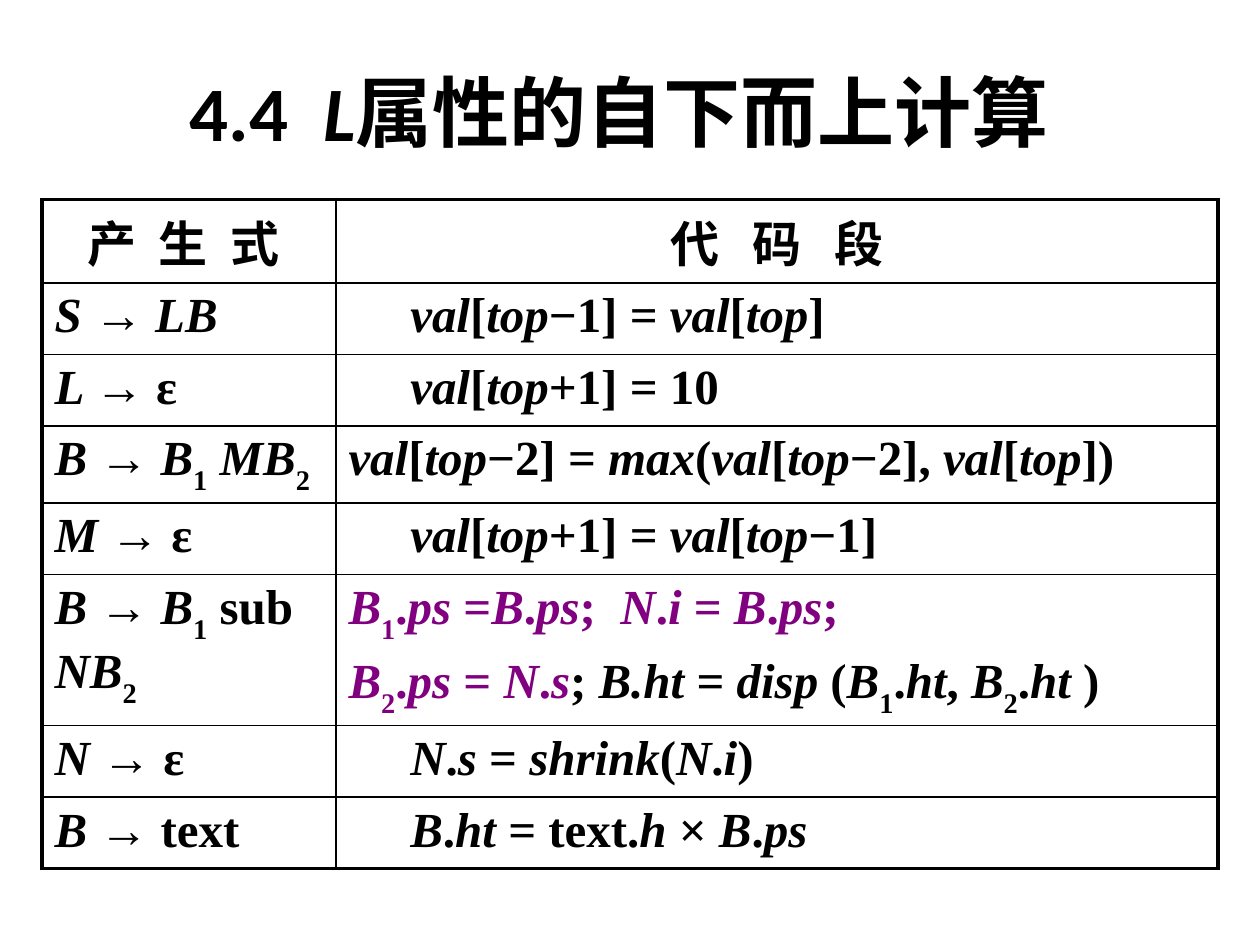
from dataclasses import dataclass
from typing import Any

from lxml import etree
from pptx import Presentation
from pptx.dml.color import RGBColor
from pptx.enum.text import MSO_ANCHOR, PP_ALIGN
from pptx.oxml.ns import qn
from pptx.util import Inches, Pt

BLACK = RGBColor(0x00, 0x00, 0x00)
PURPLE = RGBColor(0x80, 0x00, 0x80)
WHITE = RGBColor(0xFF, 0xFF, 0xFF)
CENTER, JUSTIFY, LEFT = PP_ALIGN.CENTER, PP_ALIGN.JUSTIFY, PP_ALIGN.LEFT
MIDDLE = MSO_ANCHOR.MIDDLE

TITLE_FONT, CJK_FONT, CODE_FONT = "Calibri", "Noto Sans CJK SC", "Times New Roman"
TITLE_SIZE, CELL_SIZE = 44, 28
THIN, THICK = 1, 2.25
CODE_INDENT = Inches(0.49)
TITLE_ONLY = 5
GRID = 30  # columns and rows on the slide

# Markup: *italic*, ~accent colour~, _x subscript, ^ widened space
TITLE = "4.4^*L*属性的自下而上计算"
HEADERS = [("产^生^式 ", 6.3), ("代^码^段", 12.6)]  # text, extra gap in points
# production, code, code is indented, height in grid rows
RULES = [
    ("*S *→* LB*", "*val*[*top*−1] = *val*[*top*]", True, 2.27),
    ("*L *→ ε", "*val*[*top*+1] = 10", True, 2.27),
    ("*B *→* B*_1* MB*_2",
     "*val*[*top*−2] =* max*(*val*[*top*−2], *val*[*top*]) ", False, 2.27),
    ("*M *→ ε", "*val*[*top*+1] = *val*[*top*−1]", True, 2.27),
    ("*B *→* B*_1 sub* NB*_2",
     "~*B*_1.*ps* =*B*.*ps*;^*N*.*i* = *B*.*ps*;~\n"
     "~*B*_2.*ps* = *N*.*s*~; *B.ht* = *disp* (*B*_1.*ht*, *B*_2.*ht *) ",
     False, 4.53),
    ("*N *→ ε", "*N*.*s *= *shrink*(*N*.*i*)", True, 2.27),
    ("*B *→ text", "*B*.*ht* = text.*h *×* B*.*ps*", True, 2.27),
]
HEADER_ROWS = 2.27
COLUMN_SPANS = (7, 21)


def split_markup(text):
    """Yield (piece, italic, accent, kind) for each run of marked-up text."""
    italic = accent = False
    piece, subscript = "", False
    for char in text:
        if subscript:
            yield char, False, accent, "sub"
            subscript = False
        elif char in "*~_^":
            if piece:
                yield piece, italic, accent, "plain"
                piece = ""
            if char == "*":
                italic = not italic
            elif char == "~":
                accent = not accent
            elif char == "_":
                subscript = True
            else:
                yield " ", italic, accent, "gap"
        else:
            piece += char
    if piece:
        yield piece, italic, accent, "plain"


@dataclass
class SlideBuilder:
    deck: Any
    slide: Any
    ink: RGBColor = BLACK
    accent: RGBColor = PURPLE

    def across(self, columns):
        return int(self.deck.slide_width * columns / GRID)

    def down(self, rows):
        return int(self.deck.slide_height * rows / GRID)

    def add_text(self, frame, text, font, size, align, gap=7.0, indent=0, cjk=None):
        for index, line in enumerate(text.split("\n")):
            paragraph = frame.add_paragraph() if index else frame.paragraphs[0]
            paragraph.alignment = align
            paragraph.space_before = Pt(0.2 * size if index else 0)
            paragraph.font.name = font
            paragraph.font.size = Pt(size)
            paragraph.font.bold = True
            paragraph.font.color.rgb = self.ink
            properties = paragraph._p.get_or_add_pPr()
            properties.set("marL", str(indent))
            properties.set("indent", "0")
            defaults = properties.get_or_add_defRPr()
            etree.SubElement(defaults, qn("a:ea")).set("typeface", cjk or font)
            for piece, italic, accent, kind in split_markup(line):
                run = paragraph.add_run()
                run.text = piece
                run.font.italic = italic
                if accent:
                    run.font.color.rgb = self.accent
                if kind == "sub":
                    run._r.get_or_add_rPr().set("baseline", "-30000")
                elif kind == "gap":
                    run._r.get_or_add_rPr().set("spc", str(round(gap * 100)))

    def title(self, text, left, top, width, height):
        heading = self.slide.shapes.title
        heading.left, heading.top = self.across(left), self.down(top)
        heading.width, heading.height = self.across(width), self.down(height)
        heading.text_frame.vertical_anchor = MIDDLE
        self.add_text(heading.text_frame, text, TITLE_FONT, TITLE_SIZE, CENTER,
                      gap=10, cjk=CJK_FONT)

    def table(self, left, top, column_spans, row_spans):
        grid = self.slide.shapes.add_table(
            len(row_spans), len(column_spans), self.across(left), self.down(top),
            self.across(sum(column_spans)), self.down(sum(row_spans))).table
        grid.first_row = grid.horz_banding = False
        for column, span in zip(grid.columns, column_spans):
            column.width = self.across(span)
        for row, span in zip(grid.rows, row_spans):
            row.height = self.down(span)
        last_row, last_column = len(row_spans) - 1, len(column_spans) - 1
        for r in range(last_row + 1):
            for c in range(last_column + 1):
                outer = {"L": c == 0, "R": c == last_column,
                         "T": r == 0, "B": r == last_row}
                self.borders(grid.cell(r, c), outer)
        return grid

    def borders(self, cell, outer):
        cell.fill.background()
        properties = cell._tc.get_or_add_tcPr()
        for position, (side, is_outer) in enumerate(outer.items()):
            line = etree.Element(qn(f"a:ln{side}"))
            line.set("w", str(Pt(THICK if is_outer else THIN)))
            fill = etree.SubElement(line, qn("a:solidFill"))
            etree.SubElement(fill, qn("a:srgbClr")).set("val", str(self.ink))
            properties.insert(position, line)


def main():
    deck = Presentation()
    deck.slide_width, deck.slide_height = Inches(10), Inches(7.5)
    slide = deck.slides.add_slide(deck.slide_layouts[TITLE_ONLY])
    slide.background.fill.solid()
    slide.background.fill.fore_color.rgb = WHITE
    builder = SlideBuilder(deck, slide)

    # Heading
    builder.title(TITLE, left=1, top=1, width=27.5, height=5)

    # Productions and their code
    row_spans = [HEADER_ROWS] + [rule[-1] for rule in RULES]
    scheme = builder.table(1, 6.33, COLUMN_SPANS, row_spans)
    for column, (header, gap) in enumerate(HEADERS):
        builder.add_text(scheme.cell(0, column).text_frame, header, CJK_FONT,
                         CELL_SIZE, CENTER, gap=gap)
    for row, (production, code, indented, _) in enumerate(RULES, start=1):
        builder.add_text(scheme.cell(row, 0).text_frame, production, CODE_FONT,
                         CELL_SIZE, LEFT)
        builder.add_text(scheme.cell(row, 1).text_frame, code, CODE_FONT, CELL_SIZE,
                         LEFT if indented else JUSTIFY,
                         indent=CODE_INDENT if indented else 0)

    deck.save("out.pptx")


if __name__ == "__main__":
    main()
